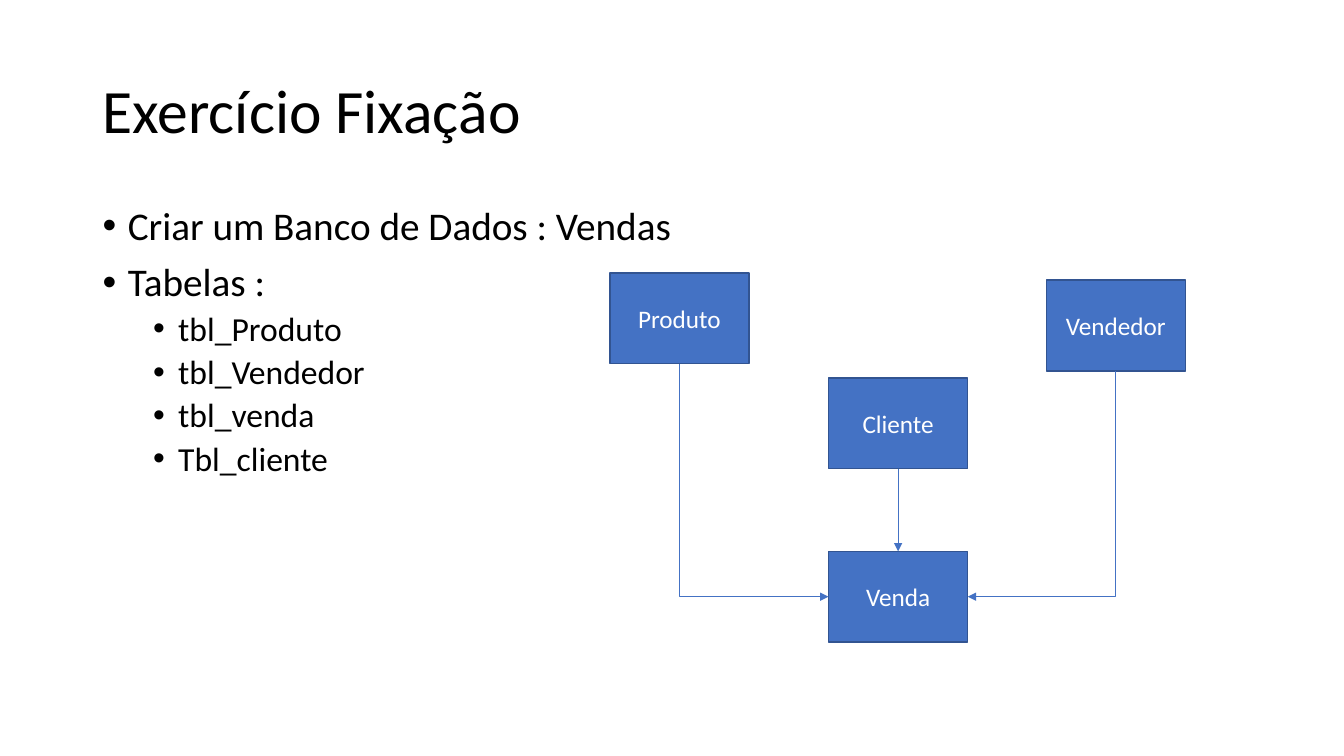
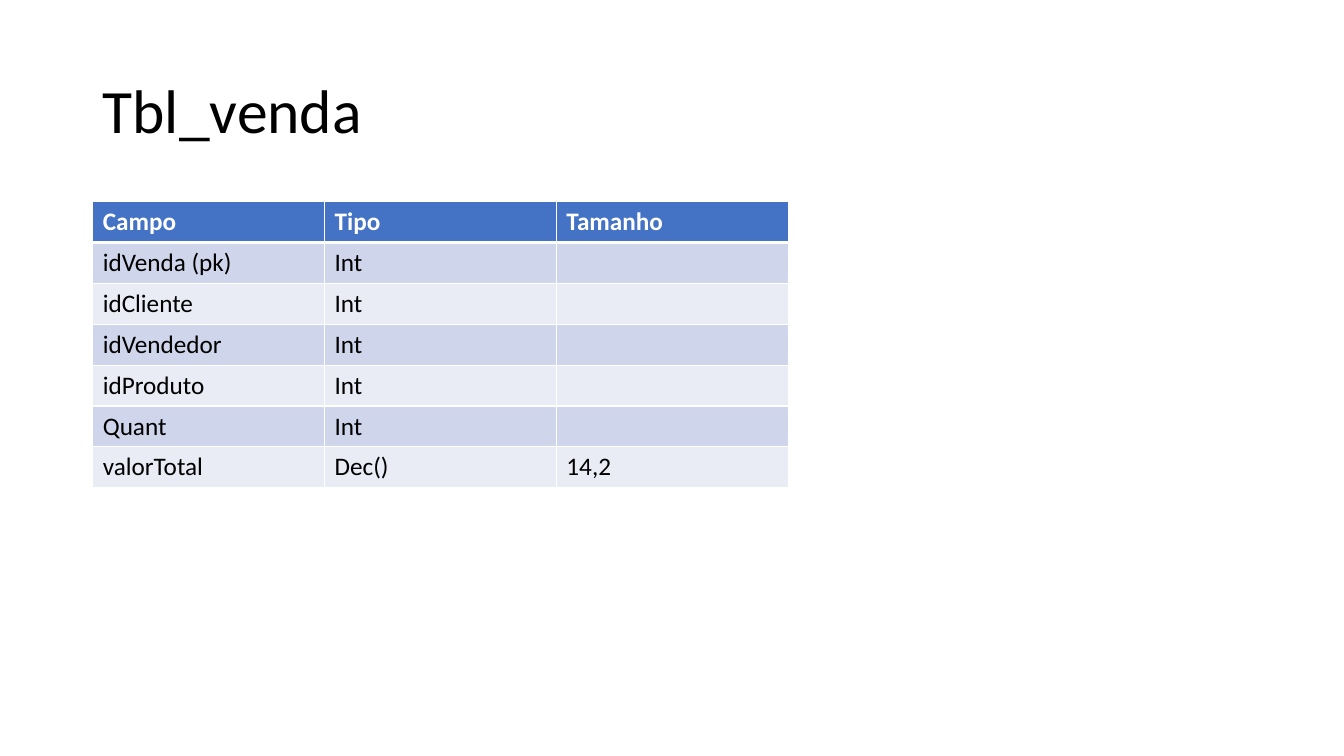
from lxml import etree
from pptx import Presentation, util as u
from pptx.dml.color import RGBColor
from pptx.enum import shapes, text
from pptx.oxml.ns import qn

Inches, Pt = u.Inches, u.Pt
COLORS = {
    "black": "000000", "white": "FFFFFF", "blue": "4472C4",
    "outline": "325491", "band_dark": "CFD5EA", "band_light": "E9EBF5",
}
FONT = "Calibri"
LEFT, CONTENT_TOP, CONTENT_WIDTH = 0.92, 2, 11.5


def color(name):
    return RGBColor.from_string(COLORS[name])


def add_run(para, words, size, color_name, bold=False):
    span = para.add_run()
    span.text = words
    span.font.name = FONT
    span.font.size = Pt(size)
    span.font.bold = bold
    span.font.color.rgb = color(color_name)


deck = Presentation()
deck.slide_width, deck.slide_height = Inches(40 / 3), Inches(7.5)

pages = []
for title in ["Exercício Fixação", "Tbl_venda"]:
    page = deck.slides.add_slide(deck.slide_layouts[6])
    box = page.shapes.add_textbox(
        Inches(LEFT), Inches(0.4), Inches(CONTENT_WIDTH), Inches(1.45))
    box.text_frame.word_wrap = True
    box.text_frame.vertical_anchor = text.MSO_ANCHOR.MIDDLE
    para = box.text_frame.paragraphs[0]
    para.line_spacing = 0.9
    add_run(para, title, 44, "black")
    pages.append(page)
diagram_page, table_page = pages

body = diagram_page.shapes.add_textbox(
    Inches(LEFT), Inches(CONTENT_TOP), Inches(CONTENT_WIDTH), Inches(4.76))
body.text_frame.word_wrap = True
LEVELS = [
    {"indent": 0.25, "size": 28, "before": 10},
    {"indent": 0.75, "size": 24, "before": 5},
]
bullets = [
    (0, "Criar um Banco de Dados : Vendas"),
    (0, "Tabelas :"),
    (1, "tbl_Produto"),
    (1, "tbl_Vendedor"),
    (1, "tbl_venda"),
    (1, "Tbl_cliente"),
]
for index, (level, words) in enumerate(bullets):
    style = LEVELS[level]
    para = body.text_frame.add_paragraph() if index else body.text_frame.paragraphs[0]
    para.level = level
    para.line_spacing = 0.9
    para.space_before = Pt(style["before"])
    properties = para._p.get_or_add_pPr()
    properties.set("marL", str(Inches(style["indent"])))
    properties.set("indent", str(Inches(-0.25)))
    etree.SubElement(properties, qn("a:buFont"), typeface="Arial")
    etree.SubElement(properties, qn("a:buChar"), char="•")
    add_run(para, words, style["size"], "black")

BOX_WIDTH, BOX_HEIGHT = 1.38, 0.9
entities = {
    "Produto": (6.05, 2.71),
    "Venda": (8.22, 5.47),
    "Vendedor": (10.38, 2.78),
    "Cliente": (8.22, 3.75),
}
for name, (left, top) in entities.items():
    box = diagram_page.shapes.add_shape(
        shapes.MSO_SHAPE.RECTANGLE,
        Inches(left), Inches(top), Inches(BOX_WIDTH), Inches(BOX_HEIGHT))
    box.shadow.inherit = False
    box.fill.solid()
    box.fill.fore_color.rgb = color("blue")
    box.line.color.rgb = color("outline")
    box.line.width = Pt(1)
    box.text_frame.vertical_anchor = text.MSO_ANCHOR.MIDDLE
    para = box.text_frame.paragraphs[0]
    para.alignment = text.PP_ALIGN.CENTER
    add_run(para, name, 18, "white")

venda_left, venda_top = entities["Venda"]
for name, side in [("Produto", -1), ("Vendedor", 1), ("Cliente", 0)]:
    left, top = entities[name]
    start_x, start_y = left + BOX_WIDTH / 2, top + BOX_HEIGHT
    end_x = venda_left + BOX_WIDTH * (1 + side) / 2
    end_y = venda_top + (BOX_HEIGHT / 2 if side else 0)
    kind = shapes.MSO_CONNECTOR.STRAIGHT
    ends = (start_x, start_y, end_x, end_y)
    if side:
        kind = shapes.MSO_CONNECTOR.ELBOW
        middle_x, middle_y = (start_x + end_x) / 2, (start_y + end_y) / 2
        half_drop, half_run = (end_y - start_y) / 2, abs(end_x - start_x) / 2
        ends = (middle_x - side * half_drop, middle_y - half_run,
                middle_x + side * half_drop, middle_y + half_run)
    arrow = diagram_page.shapes.add_connector(kind, *[Inches(end) for end in ends])
    arrow.line.color.rgb = color("blue")
    arrow.line.width = Pt(0.5)
    etree.SubElement(arrow.line._get_or_add_ln(), qn("a:tailEnd"), type="triangle")
    properties = arrow._element.spPr
    etree.SubElement(properties, qn("a:effectLst"))
    if side:
        properties.find(qn("a:prstGeom")).set("prst", "bentConnector2")
        turn = 90 if side > 0 else 270
        properties.find(qn("a:xfrm")).set("rot", str(turn * 60000))

rows = [
    ("Campo", "Tipo", "Tamanho"),
    ("idVenda (pk)", "Int", ""),
    ("idCliente", "Int", ""),
    ("idVendedor", "Int", ""),
    ("idProduto", "Int", ""),
    ("Quant", "Int", ""),
    ("valorTotal", "Dec()", "14,2"),
]
COLUMN_WIDTH, TABLE_HEIGHT = 2.3, 2.84
frame = table_page.shapes.add_table(
    len(rows), 3, Inches(LEFT), Inches(CONTENT_TOP),
    Inches(3 * COLUMN_WIDTH), Inches(TABLE_HEIGHT))
table = frame.table
for column in table.columns:
    column.width = Inches(COLUMN_WIDTH)
for row_index, row in enumerate(rows):
    header = row_index == 0
    fill = "blue" if header else "band_dark" if row_index % 2 else "band_light"
    table.rows[row_index].height = Inches(TABLE_HEIGHT / len(rows))
    for column_index, words in enumerate(row):
        cell = table.cell(row_index, column_index)
        properties = cell._tc.get_or_add_tcPr()
        for edge in "LRTB":
            thick = (header and edge == "B") or (row_index == 1 and edge == "T")
            border = etree.SubElement(
                properties, qn(f"a:ln{edge}"), w=str(Pt(3 if thick else 1)))
            paint = etree.SubElement(border, qn("a:solidFill"))
            etree.SubElement(paint, qn("a:srgbClr"), val=COLORS["white"])
        cell.fill.solid()
        cell.fill.fore_color.rgb = color(fill)
        if words:
            para = cell.text_frame.paragraphs[0]
            add_run(para, words, 18, "white" if header else "black", header)

deck.save("out.pptx")
